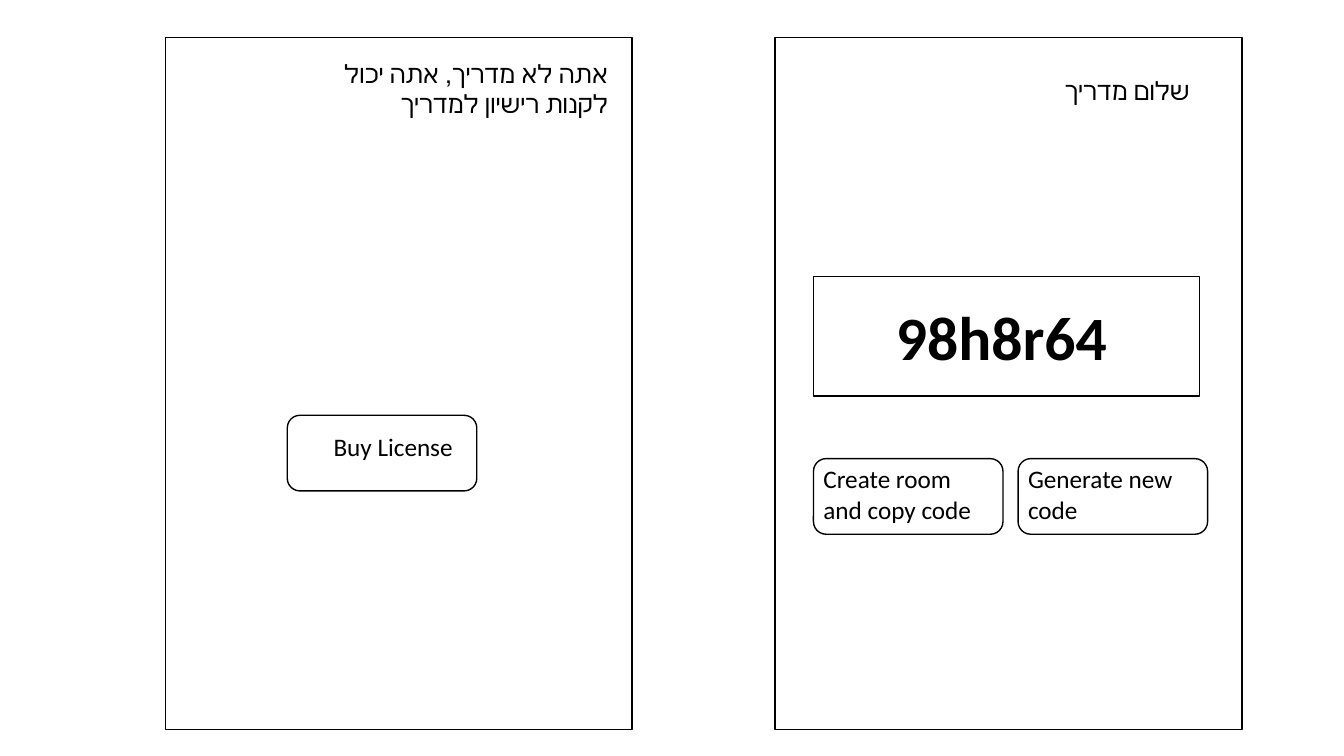
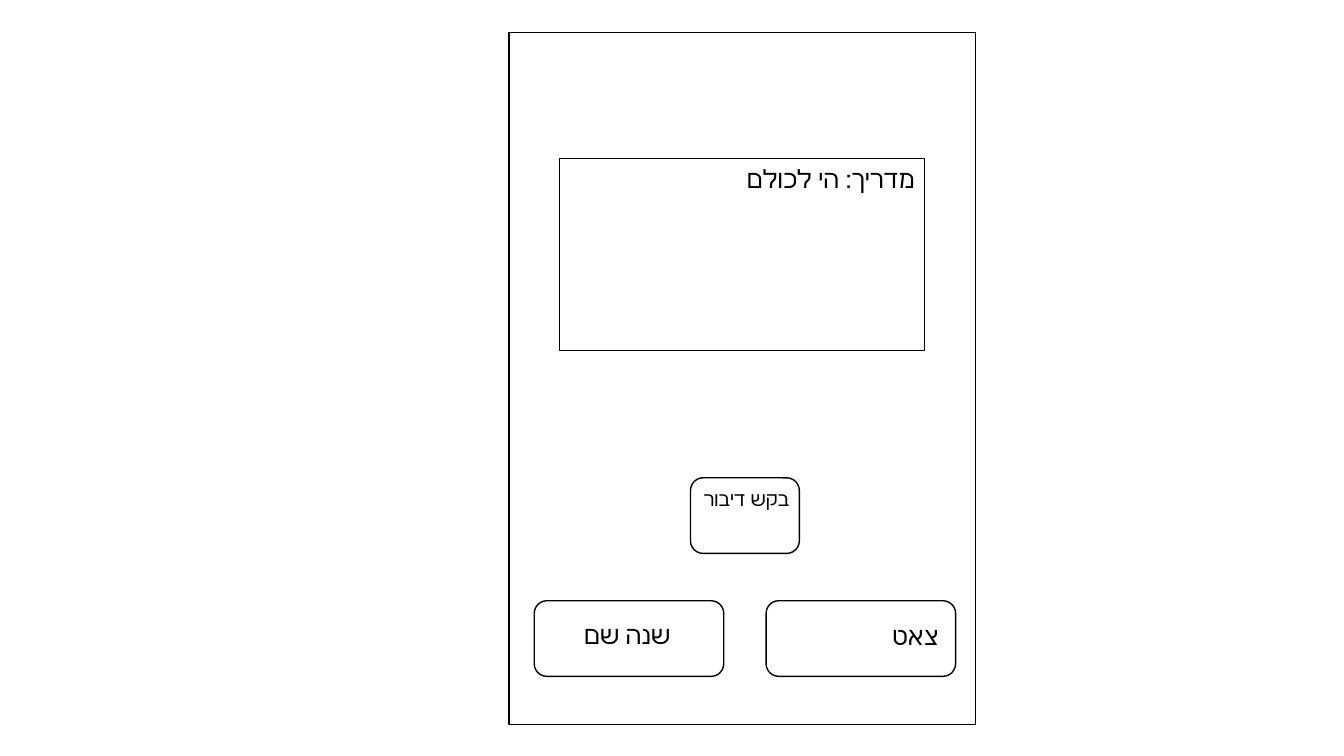
from dataclasses import dataclass

from pptx import Presentation, util as u
from pptx.dml import color
from pptx.enum import shapes, text


@dataclass(frozen=True)
class Theme:
    """Colours, type sizes and the sizes shared by all mock-up screens."""
    ink: color.RGBColor = color.RGBColor(0, 0, 0)
    paper: color.RGBColor = color.RGBColor(255, 255, 255)
    font: str = "Calibri"
    small: int = 14
    body: int = 18
    code: int = 44
    line: int = 1
    cell: float = 0.1  # side of one grid square, in inches
    columns: float = 133.33
    rows: int = 75
    screen: tuple = (46.3, 68.7)
    button: tuple = (18.8, 7.5)


class Wireframe:
    """Draws app screens; element places count from the current screen's corner."""

    def __init__(self, theme):
        """Start an empty presentation with the theme's grid."""
        self.theme = theme
        self.presentation = Presentation()
        self.presentation.slide_width = self.length(theme.columns)
        self.presentation.slide_height = self.length(theme.rows)
        self.slide = None
        self.origin = (0, 0)

    def length(self, cells):
        """Turn grid squares into a slide length."""
        return u.Inches(cells * self.theme.cell)

    def place(self, left, top, width, height):
        """Return the slide lengths of a box on the current screen."""
        column, row = self.origin
        return [self.length(cells)
                for cells in (column + left, row + top, width, height)]

    def new_slide(self):
        """Add a blank slide and make it current."""
        self.slide = self.presentation.slides.add_slide(
            self.presentation.slide_layouts[6])

    def outline(self, kind, box, filled=False):
        """Draw a thinly outlined shape."""
        shape = self.slide.shapes.add_shape(kind, *self.place(*box))
        shape.shadow.inherit = False
        if filled:
            shape.fill.solid()
            shape.fill.fore_color.rgb = self.theme.paper
        else:
            shape.fill.background()
        shape.line.color.rgb = self.theme.ink
        shape.line.width = u.Pt(self.theme.line)

    def screen(self, column, row):
        """Draw a phone screen and make its corner the origin."""
        self.origin = (column, row)
        self.panel(0, 0, *self.theme.screen)

    def panel(self, left, top, width, height):
        """Draw an unfilled rectangle."""
        self.outline(shapes.MSO_SHAPE.RECTANGLE, (left, top, width, height))

    def button(self, left, top, width=None):
        """Draw a rounded button."""
        usual, height = self.theme.button
        self.outline(shapes.MSO_SHAPE.ROUNDED_RECTANGLE,
                     (left, top, width or usual, height), filled=True)

    def label(self, words, left, top, width, height=4,
              size=None, bold=None, rtl=False):
        """Write a line of text; rtl text is set from the right edge."""
        box = self.slide.shapes.add_textbox(
            *self.place(left, top, width, height))
        frame = box.text_frame
        frame.word_wrap = True
        frame.auto_size = text.MSO_AUTO_SIZE.SHAPE_TO_FIT_TEXT
        paragraph = frame.paragraphs[0]
        if rtl:
            paragraph.alignment = text.PP_ALIGN.RIGHT
            paragraph._p.get_or_add_pPr().set("rtl", "1")
        run = paragraph.add_run()
        run.text = words
        run.font.name = self.theme.font
        run.font.size = u.Pt(size or self.theme.body)
        run.font.bold = bold
        run.font.color.rgb = self.theme.ink


def guide_entry(wireframe):
    """Build the slide with the guide's room screen and the licence screen."""
    wireframe.new_slide()
    margin, content = 3.8, 38.3

    wireframe.screen(76.9, 3.7)
    wireframe.label("שלום מדריך", margin, 3.3, content, rtl=True)
    wireframe.panel(margin, 23.7, content, 11.9)
    wireframe.label("98h8r64", 11, 25.5, 34.8, 8.4,
                    size=wireframe.theme.code, bold=True)
    width = wireframe.theme.button[0]
    for index, words in enumerate(("Create room and copy code",
                                   "Generate new code")):
        left = margin + index * (width + 1.5)
        wireframe.button(left, 41.8)
        wireframe.label(words, left, 41.8, width, 7.1)

    wireframe.screen(16.4, 3.7)
    wireframe.label("אתה לא מדריך, אתה יכול לקנות רישיון למדריך",
                    14.1, 1.6, 30.8, 7.1, rtl=True)
    wireframe.button(12.1, 37.5)
    wireframe.label("Buy License", 14.1, 38.6, 15.4, rtl=True)


def chat_room(wireframe):
    """Build the slide with the chat room screen."""
    wireframe.new_slide()
    content = 36.2

    wireframe.screen(50.5, 3.2)
    wireframe.panel(5, 12.5, content, 19.1)
    wireframe.label("מדריך: הי לכולם", 5, 12.5, content, rtl=True)
    wireframe.button(18, 44.2, 10.8)
    wireframe.label("בקש דיבור", -7.4, 44.6, content, 3.4,
                    size=wireframe.theme.small, rtl=True)
    for words, left, label_left, label_top in (
            ("שנה שם", 2.5, -19.2, 57.7),
            ("צאט", 25.5, 7.4, 57.9)):
        wireframe.button(left, 56.4)
        wireframe.label(words, label_left, label_top, content, rtl=True)


def main():
    """Build and save the presentation."""
    wireframe = Wireframe(Theme())
    guide_entry(wireframe)
    chat_room(wireframe)
    wireframe.presentation.save("out.pptx")


main()
